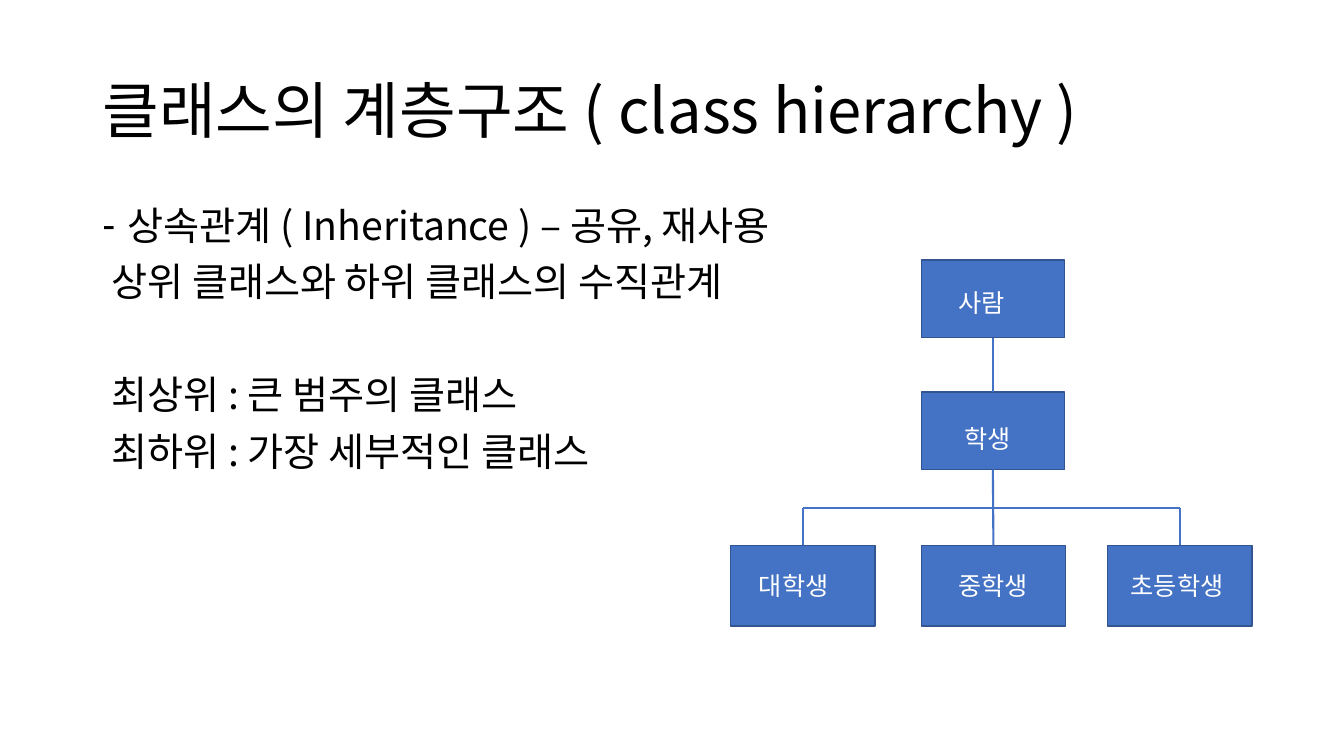
from dataclasses import dataclass

from lxml.etree import SubElement
from pptx import Presentation
from pptx.dml.color import RGBColor as RGB
from pptx.enum.shapes import MSO_CONNECTOR as Conn, MSO_SHAPE as Shape
from pptx.enum.text import MSO_ANCHOR as Anchor, MSO_AUTO_SIZE as Fit, PP_ALIGN as Align
from pptx.oxml.ns import qn
from pptx.util import Pt


@dataclass(frozen=True)
class Theme:
    font: str = "Noto Sans CJK KR"
    ink: str = "000000"
    white: str = "FFFFFF"
    blue: str = "4472C4"
    edge: str = "325491"
    title: int = 44
    body: int = 28
    label: int = 18


def write(par, text, font, size, color, align=Align.LEFT, gap=0, lead=1.0):
    """Add one formatted run; gap is the space before, lead the line spacing."""
    par.alignment = align
    par.space_before = Pt(gap)
    par.line_spacing = lead
    run = par.add_run()
    run.text = text
    run.font.name, run.font.size = font, Pt(size)
    run.font.color.rgb = RGB.from_string(color)
    SubElement(run._r.get_or_add_rPr(), qn("a:ea"), typeface=font)


def indent(par, left, hang=0, mark=None):
    props = par._p.get_or_add_pPr()
    props.set("marL", str(Pt(left)))
    props.set("indent", str(Pt(-hang)))
    if mark:
        SubElement(props, qn("a:buChar"), char=mark)
    else:
        SubElement(props, qn("a:buNone"))


class Board:
    def __init__(self, slide, theme):
        self.slide, self.theme = slide, theme
        self.shapes = slide.shapes

    def place(self, holder, left, top, width, height, anchor):
        holder.left, holder.top = Pt(left), Pt(top)
        holder.width, holder.height = Pt(width), Pt(height)
        frame = holder.text_frame
        frame.word_wrap, frame.auto_size = True, Fit.NONE
        frame.vertical_anchor = anchor
        return frame

    def title(self, text, *rect):
        look = self.theme
        frame = self.place(self.shapes.title, *rect, Anchor.MIDDLE)
        write(frame.paragraphs[0], text, look.font, look.title, look.ink, lead=0.9)

    def body(self, items, *rect):
        """Fill the list from (text, space before, left, hang, bullet) rows."""
        look = self.theme
        frame = self.place(self.slide.placeholders[1], *rect, Anchor.TOP)
        for i, (text, gap, left, hang, mark) in enumerate(items):
            par = frame.add_paragraph() if i else frame.paragraphs[0]
            write(par, text, look.font, look.body, look.ink, gap=gap, lead=0.9)
            indent(par, left, hang, mark)

    def box(self, left, top, width, height):
        box = self.shapes.add_shape(
            Shape.RECTANGLE, Pt(left), Pt(top), Pt(width), Pt(height))
        box.shadow.inherit = False
        box.fill.solid()
        box.fill.fore_color.rgb = RGB.from_string(self.theme.blue)
        box.line.color.rgb = RGB.from_string(self.theme.edge)
        box.line.width = Pt(1)
        return box

    def label(self, text, left, top, width, inset=0):
        look = self.theme
        box = self.shapes.add_textbox(Pt(left), Pt(top), Pt(width), Pt(29))
        frame = box.text_frame
        frame.word_wrap, frame.auto_size = True, Fit.SHAPE_TO_FIT_TEXT
        frame.margin_left = Pt(7.2 + inset)
        write(frame.paragraphs[0], text, look.font, look.label, look.white)

    def line(self, start, end, head=None, tail=None):
        """Draw a line; head and tail are (box, side) joints for its ends."""
        line = self.shapes.add_connector(Conn.STRAIGHT, *map(Pt, start + end))
        line.line.color.rgb = RGB.from_string(self.theme.blue)
        line.line.width = Pt(1.5)
        SubElement(line._element.spPr, qn("a:effectLst"))
        if head:
            line.begin_connect(*head)
        if tail:
            line.end_connect(*tail)


def main():
    deck = Presentation()
    deck.slide_width, deck.slide_height = Pt(960), Pt(540)
    board = Board(deck.slides.add_slide(deck.slide_layouts[1]), Theme())

    board.title("클래스의 계층구조 ( class hierarchy )", 66, 28.8, 828, 104.4)
    board.body([
        ("상속관계 ( Inheritance ) – 공유, 재사용", 10, 18, 18, "-"),
        ("상위 클래스와 하위 클래스의 수직관계", 10, 6.3, 0, None),
        ("최상위 : 큰 범주의 클래스", 50.4, 6.3, 0, None),
        ("최하위 : 가장 세부적인 클래스", 10, 6.3, 0, None),
    ], 66, 144, 828, 342.7)

    mid, wide, low = 658.1, 103, 389.5
    person, pupil = [board.box(mid, top, 102.2, 55.4) for top in (185.8, 280.1)]
    kids = [board.box(left, low, wide, 57.6) for left in (522, mid, 791.3)]

    board.label("사람", 669.6, 201.6, 79.2, inset=8)
    board.label("학생", 677.5, 298.8, 64.1, inset=4)
    for text, left, width in (("대학생", 535, 80.6), ("중학생", 677.5, 71.3),
                              ("초등학생", 800.6, 99.4)):
        board.label(text, left, 403.9, width)

    bus = 362.9
    first, last = 522 + wide / 2, 791.3 + wide / 2
    axis = mid + wide / 2
    board.line((axis, 241.2), (axis, 280.1), (person, 2), (pupil, 0))
    board.line((first, low), (first, bus), head=(kids[0], 0))
    board.line((first, bus), (last, bus))
    board.line((last, bus), (last, low), tail=(kids[2], 0))
    board.line((axis, 335.5), (axis, low), (pupil, 2), (kids[1], 0))

    deck.save("out.pptx")


if __name__ == "__main__":
    main()
